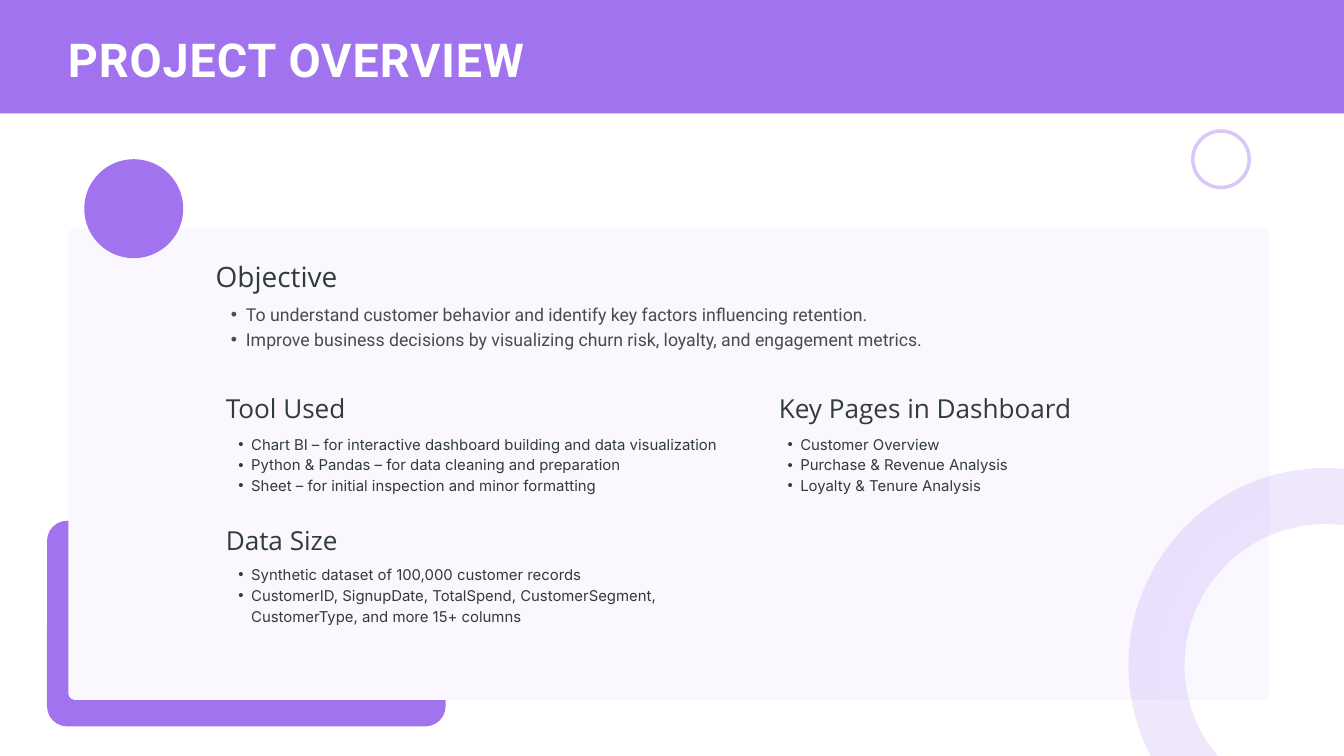
from pptx import Presentation
from pptx.dml.color import RGBColor
from pptx.enum.shapes import MSO_SHAPE
from pptx.enum.text import MSO_ANCHOR, MSO_AUTO_SIZE, PP_ALIGN
from pptx.oxml.ns import qn
from pptx.util import Pt
from lxml import etree

RECT = MSO_SHAPE.RECTANGLE
ROUND = MSO_SHAPE.ROUNDED_RECTANGLE
OVAL = MSO_SHAPE.OVAL
TOP = MSO_ANCHOR.TOP
LEFT = PP_ALIGN.LEFT
GROW = MSO_AUTO_SIZE.SHAPE_TO_FIT_TEXT

PURPLE, WHITE, DARK, GREY = "A273EF", "FFFFFF", "303C36", "4C4A4D"

deck = Presentation()
deck.slide_width, deck.slide_height = Pt(1440), Pt(810)
slide = deck.slides.add_slide(deck.slide_layouts[5])


def paint(part, color):
    part.solid()
    part.fore_color.rgb = RGBColor.from_string(color)


def write(text, box, size, font, color, lead, bold=False, track=0, indent=0, shape=None):
    """Put one paragraph per line of text in a text box or a given shape."""
    x, y, w, h = map(Pt, box)
    if shape is None:
        shape = slide.shapes.add_textbox(x, y, w, h)
    shape.left, shape.top, shape.width, shape.height = x, y, w, h
    frame = shape.text_frame
    frame.margin_left = frame.margin_right = frame.margin_top = frame.margin_bottom = 0
    frame.word_wrap, frame.vertical_anchor, frame.auto_size = True, TOP, GROW
    frame.text = text
    for para in frame.paragraphs:
        para.alignment, para.line_spacing = LEFT, Pt(lead)
        if indent:
            para.level = 1
            props = para._p.get_or_add_pPr()
            props.set("marL", str(Pt(indent)))
            props.set("indent", str(-Pt(indent / 2)))
            etree.SubElement(props, qn("a:buFont")).set("typeface", "Arial")
            etree.SubElement(props, qn("a:buChar")).set("char", "•")
        for run in para.runs:
            run.font.name, run.font.size, run.font.bold = font, Pt(size), bold
            paint(run.font.fill, color)
            if track:
                run.font._element.set("spc", str(track * 100))


# Accent, card, disc and title band: kind, box, colour, corner radius
for kind, box, color, curve in [
    (ROUND, (50.4, 558, 427, 220.3), PURPLE, 21.6),
    (ROUND, (73.2, 244.8, 1286.8, 505.2), "FAF7FF", 7.2),
    (OVAL, (90.3, 170.6, 106, 106), PURPLE, 0),
    (RECT, (0, 0, 1440, 121.5), PURPLE, 0),
]:
    shape = slide.shapes.add_shape(kind, *map(Pt, box))
    shape.shadow.inherit = False
    paint(shape.fill, color)
    shape.line.fill.background()
    if curve:
        shape.adjustments[0] = curve / box[3]

# Title, in front of its band
title = slide.shapes.title
slide.shapes._spTree.append(title._element)
write("PROJECT OVERVIEW", (72.7, 23, 848, 67), 50, "Roboto", WHITE, 70,
      bold=True, track=1, shape=title)

# Objective
write("Objective", (231.1, 267.8, 170.6, 42.5), 30, "Open Sans", DARK, 46.5)
write("To understand customer behavior and identify key factors influencing retention.\n"
      "Improve business decisions by visualizing churn risk, loyalty, and engagement metrics.",
      (231.1, 321.8, 1021, 51.1), 19, "Roboto", GREY, 26.6, indent=32.4)

# Sections: heading, its place and width, list, its place and width
for head, x, y, w, items, left, top, wide in [
    ("Tool Used", 241.9, 410.4, 133.9,
     "Chart BI – for interactive dashboard building and data visualization\n"
     "Python & Pandas – for data cleaning and preparation\n"
     "Sheet – for initial inspection and minor formatting", 241.9, 463, 564.5),
    ("Data Size", 241.9, 552.2, 133.9,
     "Synthetic dataset of 100,000 customer records\n"
     "CustomerID, SignupDate, TotalSpend, CustomerSegment, "
     "CustomerType, and more 15+ columns", 241.9, 602.6, 542.2),
    ("Key Pages in Dashboard", 834.5, 410.4, 375.8,
     "Customer Overview\nPurchase & Revenue Analysis\nLoyalty & Tenure Analysis",
     830.2, 463, 385.2),
]:
    write(head, (x, y, w, 40.3), 28, "Open Sans", DARK, 43.4)
    write(items, (left, top, wide, 64.8), 16, "Inter", DARK, 22.4, indent=27.2)

# Translucent rings: left, top, size, line width, opacity in percent
for x, y, size, thick, clear in [(1239.1, 531.5, 362.2, 60, 16), (1278, 140.4, 60.5, 3.75, 40)]:
    ring = slide.shapes.add_shape(OVAL, Pt(x), Pt(y), Pt(size), Pt(size))
    ring.shadow.inherit = False
    paint(ring.fill, WHITE)
    paint(ring.line.fill, PURPLE)
    ring.line.width = Pt(thick)
    for tint in ring._element.spPr.iter(qn("a:srgbClr")):
        etree.SubElement(tint, qn("a:alpha")).set("val", str(clear * 1000))

deck.save("out.pptx")
